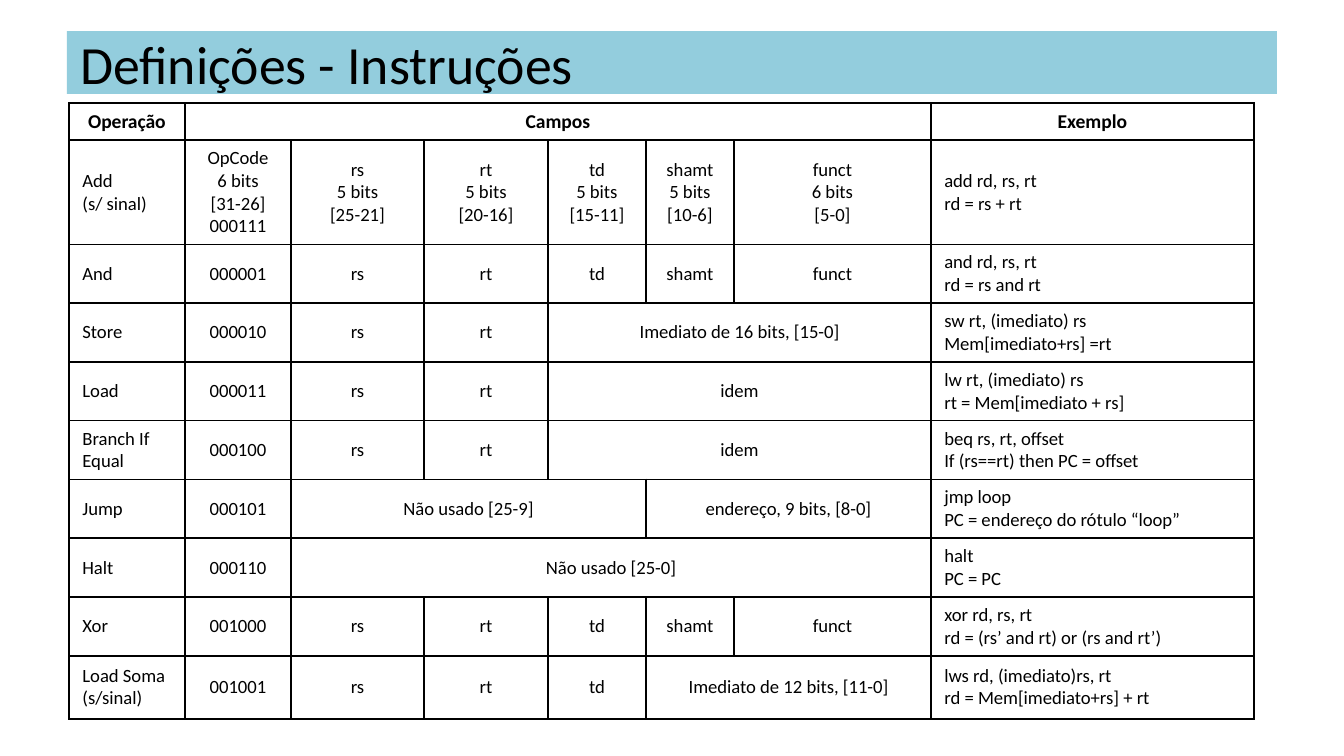
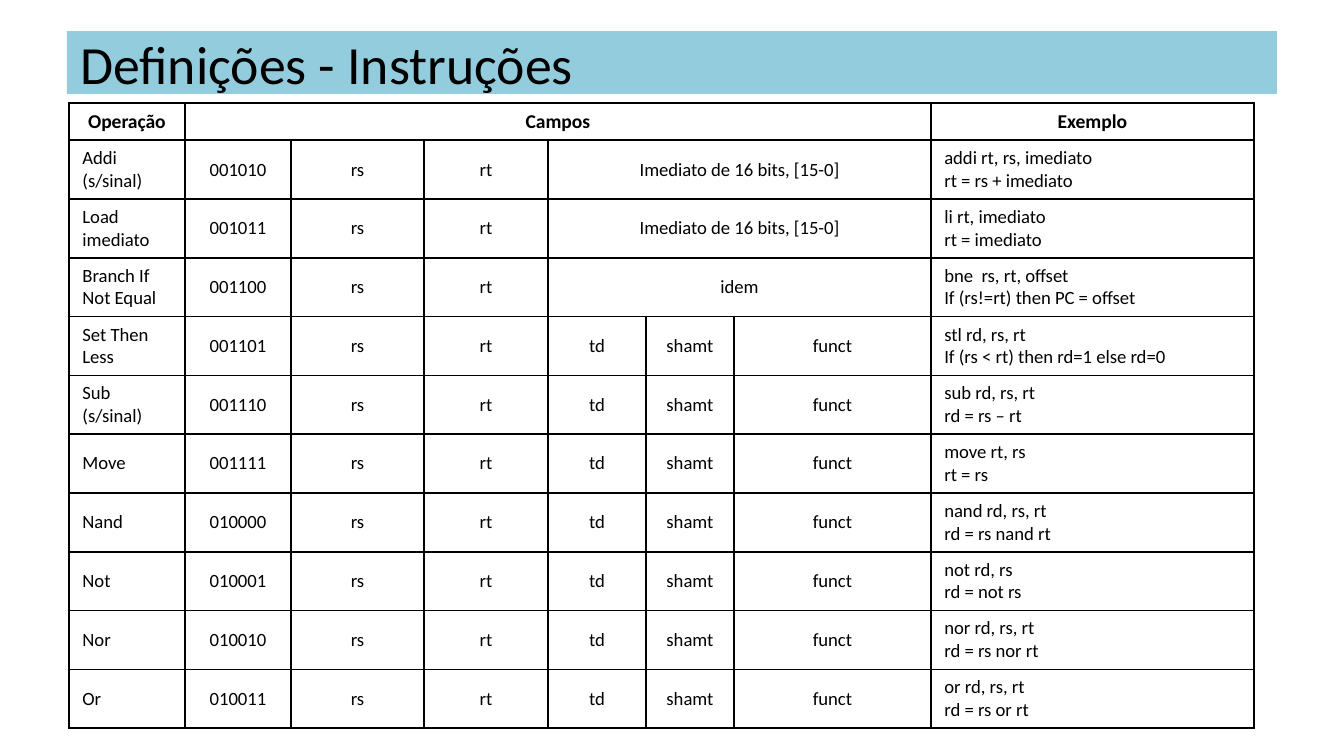
from lxml.etree import SubElement
from pptx import Presentation
from pptx.dml.color import RGBColor
from pptx.enum.shapes import MSO_SHAPE as Shape
from pptx.enum.text import MSO_ANCHOR as Anchor, PP_ALIGN as Align
from pptx.oxml.ns import qn
from pptx.util import Pt

PX = 914400 / 134.4
BLACK = RGBColor(0x00, 0x00, 0x00)
BAND_BLUE = RGBColor(0x93, 0xCD, 0xDD)
FONT = "Calibri"
TITLE = "Definições - Instruções"
COLUMNS = [116, 106, 133, 124, 98, 88, 197, 323]
EXAMPLE_COLUMN = len(COLUMNS) - 1
HEADER_HEIGHT = 37
ROW_HEIGHT = 58

HEADER = ("Operação", [("Campos", 6)], "Exemplo")
SOURCES = [("rs", 1), ("rt", 1)]
REGISTERS = SOURCES + [("td", 1), ("shamt", 1), ("funct", 1)]
IMMEDIATE = SOURCES + [("Imediato de 16 bits, [15-0]", 3)]
SAME = SOURCES + [("idem", 3)]
BIT_LAYOUT = [
    ("rs\n5 bits\n[25-21]", 1),
    ("rt\n5 bits\n[20-16]", 1),
    ("td\n5 bits\n[15-11]", 1),
    ("shamt\n5 bits\n[10-6]", 1),
    ("funct\n6 bits\n[5-0]", 1),
]
JUMP = [("Não usado [25-9]", 3), ("endereço, 9 bits, [8-0]", 2)]
UNUSED = [("Não usado [25-0]", 5)]
LOAD_SUM = SOURCES + [("td", 1), ("Imediato de 12 bits, [11-0]", 2)]

BASE_INSTRUCTIONS = [
    ("Add\n(s/ sinal)", "OpCode\n6 bits\n[31-26]\n000111", BIT_LAYOUT,
     "add rd, rs, rt\nrd = rs + rt"),
    ("And", "000001", REGISTERS, "and rd, rs, rt\nrd = rs and rt"),
    ("Store", "000010", IMMEDIATE,
     "sw rt, (imediato) rs\nMem[imediato+rs] =rt"),
    ("Load", "000011", SAME, "lw rt, (imediato) rs\nrt = Mem[imediato + rs]"),
    ("Branch If Equal", "000100", SAME,
     "beq rs, rt, offset\nIf (rs==rt) then PC = offset"),
    ("Jump", "000101", JUMP, "jmp loop\nPC = endereço do rótulo “loop”"),
    ("Halt", "000110", UNUSED, "halt\nPC = PC"),
    ("Xor", "001000", REGISTERS,
     "xor rd, rs, rt\nrd = (rs’ and rt) or (rs and rt’)"),
    ("Load Soma\n(s/sinal)", "001001", LOAD_SUM,
     "lws rd, (imediato)rs, rt\nrd = Mem[imediato+rs] + rt"),
]
MORE_INSTRUCTIONS = [
    ("Addi\n(s/sinal)", "001010", IMMEDIATE,
     "addi rt, rs, imediato\nrt = rs + imediato"),
    ("Load imediato", "001011", IMMEDIATE, "li rt, imediato\nrt = imediato"),
    ("Branch If Not Equal", "001100", SAME,
     "bne  rs, rt, offset\nIf (rs!=rt) then PC = offset"),
    ("Set Then Less", "001101", REGISTERS,
     "stl rd, rs, rt\nIf (rs < rt) then rd=1 else rd=0"),
    ("Sub\n(s/sinal)", "001110", REGISTERS, "sub rd, rs, rt\nrd = rs – rt"),
    ("Move", "001111", REGISTERS, "move rt, rs\nrt = rs"),
    ("Nand", "010000", REGISTERS, "nand rd, rs, rt\nrd = rs nand rt"),
    ("Not", "010001", REGISTERS, "not rd, rs\nrd = not rs"),
    ("Nor", "010010", REGISTERS, "nor rd, rs, rt\nrd = rs nor rt"),
    ("Or", "010011", REGISTERS, "or rd, rs, rt\nrd = rs or rt"),
]


def px(length):
    return round(length * PX)


def write(frame, text, size, align=Align.LEFT, bold=False):
    frame.word_wrap = True
    for index, line in enumerate(text.split("\n")):
        paragraph = frame.add_paragraph() if index else frame.paragraphs[0]
        paragraph.alignment = align
        run = paragraph.add_run()
        run.text = line
        run.font.name = FONT
        run.font.size = Pt(size)
        run.font.bold = bold
        run.font.color.rgb = BLACK


def add_title_band(slide):
    band = slide.shapes.add_shape(
        Shape.RECTANGLE, px(67), px(31), px(1210), px(63))
    band.shadow.inherit = False
    band.fill.solid()
    band.fill.fore_color.rgb = BAND_BLUE
    band.line.fill.background()
    band.text_frame.vertical_anchor = Anchor.MIDDLE
    write(band.text_frame, TITLE, 28.8)


def outline(cell):
    cell.fill.background()
    properties = cell._tc.get_or_add_tcPr()
    for position, side in enumerate(("a:lnL", "a:lnR", "a:lnT", "a:lnB")):
        border = properties.makeelement(qn(side), {"w": str(Pt(1))})
        paint = SubElement(border, qn("a:solidFill"))
        SubElement(paint, qn("a:srgbClr"), val=str(BLACK))
        properties.insert(position, border)


def fill_row(table, row, operation, fields, example, heading=False):
    size = 10.5 if heading else 10
    side_align = Align.CENTER if heading else Align.LEFT
    write(table.cell(row, 0).text_frame, operation, size, side_align, heading)
    column = 1
    for text, span in fields:
        field = table.cell(row, column)
        if span > 1:
            field.merge(table.cell(row, column + span - 1))
        write(field.text_frame, text, size, Align.CENTER, heading)
        column += span
    write(table.cell(row, EXAMPLE_COLUMN).text_frame, example, size,
          side_align, heading)


def add_instruction_table(slide, instructions, special_heights):
    heights = [HEADER_HEIGHT] + [ROW_HEIGHT] * len(instructions)
    for row, height in special_heights.items():
        heights[row] = height
    table = slide.shapes.add_table(
        len(heights), len(COLUMNS), px(69), px(103),
        px(sum(COLUMNS)), px(sum(heights))).table
    table.first_row = False
    table.horz_banding = False
    for column, width in zip(table.columns, COLUMNS):
        column.width = px(width)
    for row, height in zip(table.rows, heights):
        row.height = px(height)
    for cell in table.iter_cells():
        cell.vertical_anchor = Anchor.MIDDLE
        outline(cell)
    fill_row(table, 0, *HEADER, heading=True)
    for row, (operation, opcode, fields, example) in enumerate(instructions, 1):
        fill_row(table, row, operation, [(opcode, 1)] + fields, example)


def main():
    deck = Presentation()
    deck.slide_width = px(1344)
    deck.slide_height = px(756)
    for instructions, special_heights in (
            (BASE_INSTRUCTIONS, {1: 104, 9: 63}),
            (MORE_INSTRUCTIONS, {})):
        slide = deck.slides.add_slide(deck.slide_layouts[6])
        add_title_band(slide)
        add_instruction_table(slide, instructions, special_heights)
    deck.save("out.pptx")


if __name__ == "__main__":
    main()
